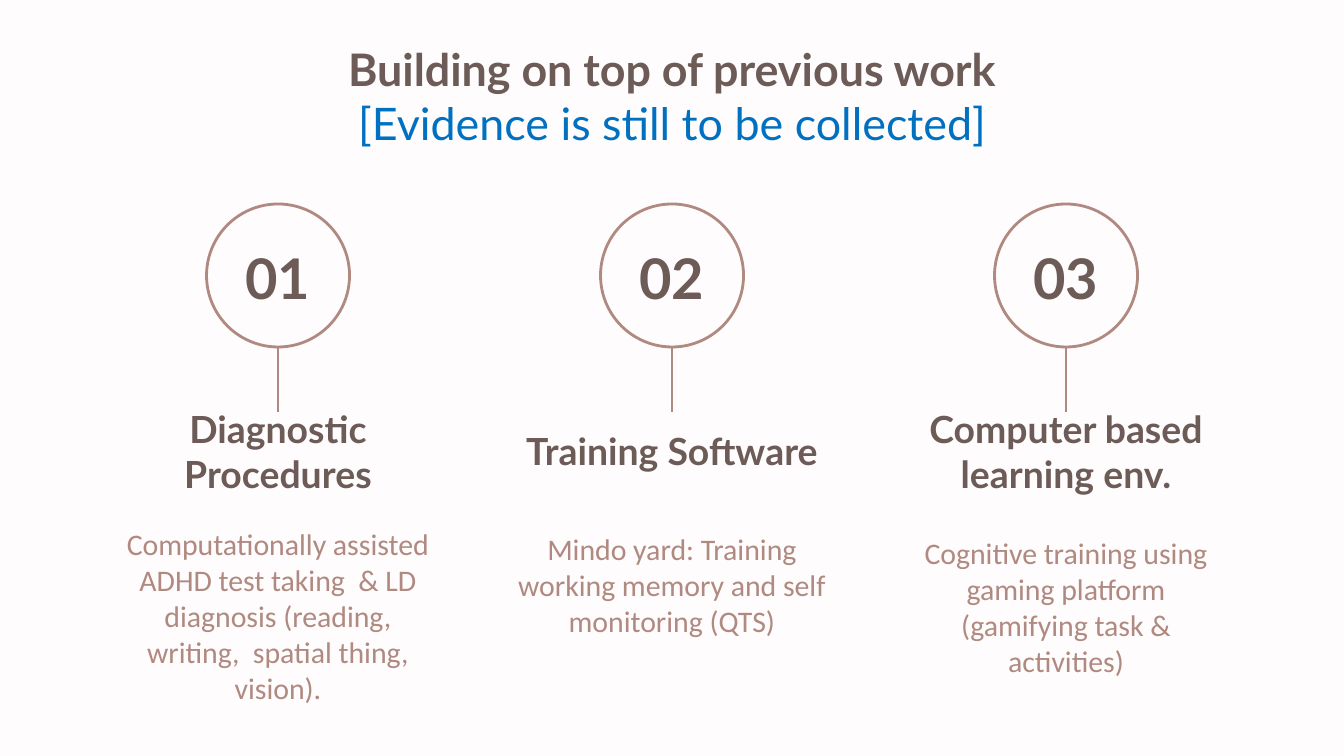
from lxml import etree
from pptx import Presentation
from pptx.dml.color import RGBColor
from pptx.enum.shapes import MSO_CONNECTOR, MSO_SHAPE
from pptx.enum.text import MSO_ANCHOR, MSO_AUTO_SIZE, PP_ALIGN
from pptx.oxml.ns import qn
from pptx.util import Emu, Pt

TITLE = "Building on top of previous work"
NOTE = "[Evidence is still to be collected]"
COLUMNS = [
    ("01", "Diagnostic Procedures", 513,
     "Computationally assisted ADHD test taking  & LD diagnosis "
     "(reading, writing,  spatial thing, vision)."),
    ("02", "Training Software", 518,
     "Mindo yard: Training working memory and self monitoring (QTS)"),
    ("03", "Computer based learning env.", 522,
     "Cognitive training using gaming platform (gamifying task & activities)"),
]

BACKGROUND = RGBColor(0xFE, 0xFC, 0xFC)
BROWN = RGBColor(0x6D, 0x5B, 0x57)
ROSE = RGBColor(0xB0, 0x89, 0x80)
BLUE = RGBColor(0x00, 0x70, 0xC0)
TOP, MIDDLE = MSO_ANCHOR.TOP, MSO_ANCHOR.MIDDLE
CENTER = PP_ALIGN.CENTER
NO_FIT = MSO_AUTO_SIZE.NONE
OVAL = MSO_SHAPE.OVAL
STRAIGHT = MSO_CONNECTOR.STRAIGHT

WIDTH, HEIGHT = 1344, 756
COLUMN_WIDTH, COLUMN_STEP = 344, 394
CIRCLE_TOP, CIRCLE_SIZE = 204, 143
CIRCLE_BOTTOM = CIRCLE_TOP + CIRCLE_SIZE
HEADING_TOP = 412


def px(value):
    return Emu(round(value * 914400 / 134.4))


def box(*lengths):
    return [px(length) for length in lengths]


def write(shape, text, size, color, font="Lato", bold=True, anchor=MIDDLE, after=0):
    frame = shape.text_frame
    frame.word_wrap = True
    frame.auto_size = NO_FIT
    frame.vertical_anchor = anchor
    frame.margin_left = frame.margin_right = px(13)
    frame.margin_top = frame.margin_bottom = px(13)
    paragraph = frame.paragraphs[0]
    paragraph.alignment = CENTER
    paragraph.space_after = Pt(after)
    if paragraph.runs:
        paragraph.add_line_break()
    run = paragraph.add_run()
    run.text = text
    run.font.name = font
    run.font.size = Pt(size)
    run.font.bold = bold
    run.font.color.rgb = color


def outline(shape):
    shape.line.color.rgb = ROSE
    shape.line.width = Pt(1.5)


presentation = Presentation()
presentation.slide_width, presentation.slide_height = box(WIDTH, HEIGHT)
slide = presentation.slides.add_slide(presentation.slide_layouts[5])
slide.background.fill.solid()
slide.background.fill.fore_color.rgb = BACKGROUND
shapes = slide.shapes

title = shapes.title
title.left, title.top, title.width, title.height = box(106, 29, 1132, 85)
write(title, TITLE, 24, BROWN, anchor=TOP)
write(title, NOTE, 24, BLUE, bold=False, anchor=TOP)

for index, (number, heading, body_top, body) in enumerate(COLUMNS):
    center = WIDTH / 2 + (index - 1) * COLUMN_STEP
    left = center - COLUMN_WIDTH / 2

    circle = shapes.add_shape(
        OVAL, *box(center - CIRCLE_SIZE / 2, CIRCLE_TOP, CIRCLE_SIZE, CIRCLE_SIZE))
    circle.shadow.inherit = False
    circle.fill.background()
    outline(circle)

    stem = shapes.add_connector(
        STRAIGHT, *box(center, CIRCLE_BOTTOM, center, HEADING_TOP))
    outline(stem)
    etree.SubElement(stem._element.spPr, qn("a:effectLst"))

    number_box = shapes.add_textbox(*box(left, 234, COLUMN_WIDTH, 87))
    write(number_box, number, 30, BROWN)
    heading_box = shapes.add_textbox(*box(left, HEADING_TOP, COLUMN_WIDTH, 78))
    write(heading_box, heading, 20, BROWN)
    body_box = shapes.add_textbox(*box(left, body_top, COLUMN_WIDTH, 129))
    write(body_box, body, 16, ROSE, font="Calibri", bold=False, anchor=TOP, after=16)

presentation.save("out.pptx")
